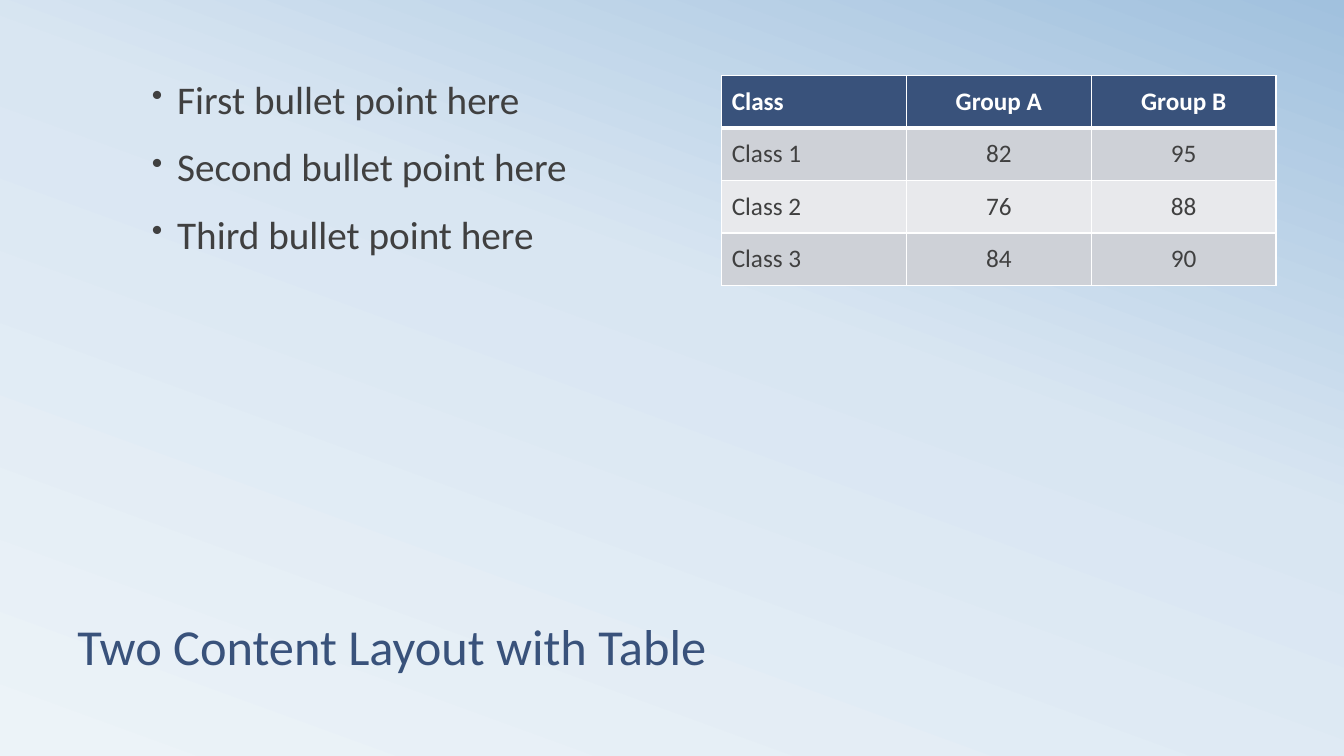
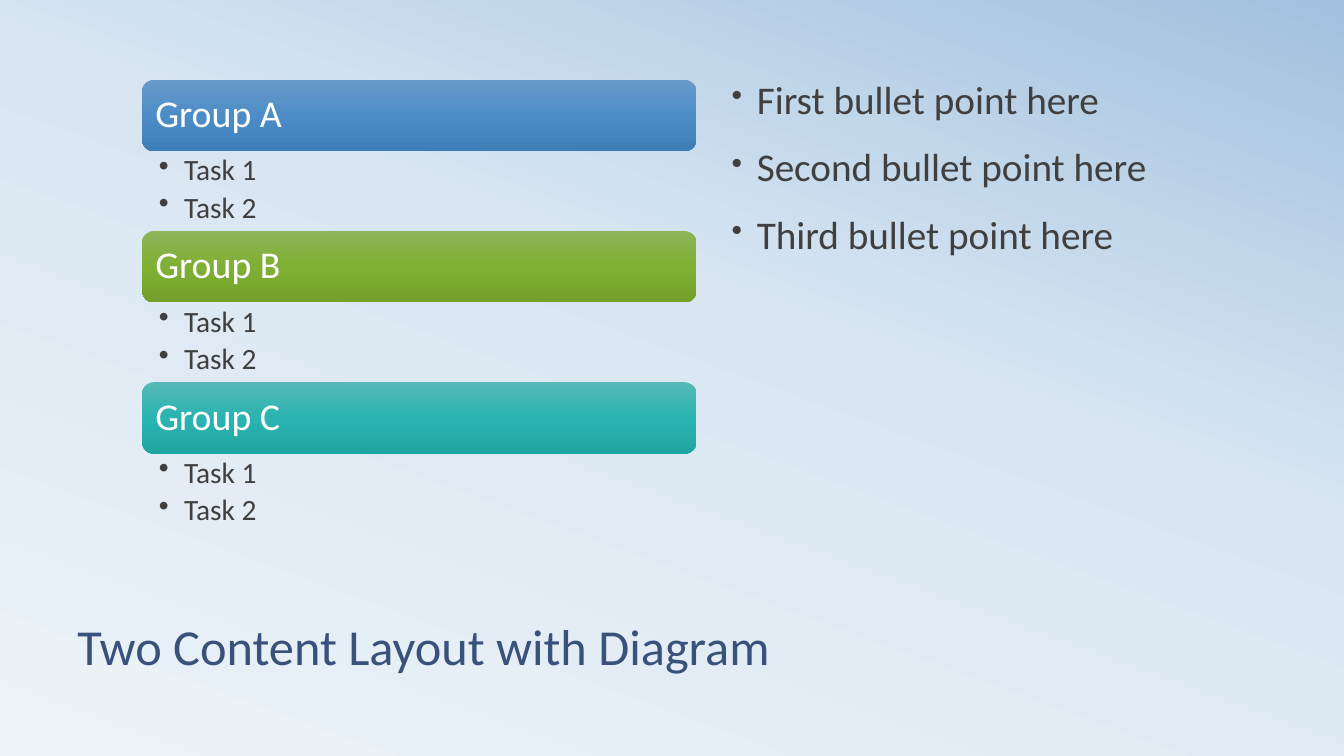
"""Build two slides pairing a bullet list with a table and with a task diagram."""
from dataclasses import dataclass

from lxml.etree import SubElement
from pptx import Presentation
from pptx.dml.color import RGBColor
from pptx.enum.shapes import MSO_SHAPE
from pptx.enum.text import MSO_ANCHOR, MSO_AUTO_SIZE, PP_ALIGN
from pptx.oxml.ns import qn
from pptx.util import Pt

FONT = "Calibri"
NAVY = RGBColor(0x39, 0x52, 0x7B)
INK = RGBColor(0x40, 0x40, 0x40)
WHITE = RGBColor(0xFF, 0xFF, 0xFF)
ROW_DARK = RGBColor(0xCE, 0xD1, 0xD7)
ROW_LIGHT = RGBColor(0xE8, 0xE9, 0xEC)
SKY = (
    (0, RGBColor(0xEC, 0xF3, 0xF8)),
    (58, RGBColor(0xD9, 0xE6, 0xF2)),
    (100, RGBColor(0xA1, 0xC1, 0xDE)),
)
BLUE = (
    (0, RGBColor(0x6A, 0x9A, 0xC9)),
    (50, RGBColor(0x4C, 0x8D, 0xC8)),
    (100, RGBColor(0x3E, 0x7E, 0xB8)),
)
GREEN = (
    (0, RGBColor(0x8D, 0xB4, 0x59)),
    (50, RGBColor(0x7F, 0xAF, 0x33)),
    (100, RGBColor(0x72, 0xA0, 0x29)),
)
TEAL = (
    (0, RGBColor(0x55, 0xB9, 0xB6)),
    (50, RGBColor(0x2A, 0xB4, 0xB1)),
    (100, RGBColor(0x1F, 0xA6, 0xA3)),
)

LEFT_COLUMN, RIGHT_COLUMN = 101.5, 515.5
CONTENT_TOP, CONTENT_WIDTH, CONTENT_HEIGHT = 54, 396, 330
ROW_HEIGHT = 37.5
GROUPS_TOP, HEADING_HEIGHT, TASKS_HEIGHT = 57, 51, 57

POINTS = ("First bullet point here", "Second bullet point here", "Third bullet point here")
SCORES = (
    ("Class", "Group A", "Group B"),
    ("Class 1", "82", "95"),
    ("Class 2", "76", "88"),
    ("Class 3", "84", "90"),
)


@dataclass(frozen=True)
class BulletStyle:
    """Look of one kind of bullet list."""

    size: float
    bullet_percent: int
    before: float
    after: float
    insets: tuple[float, float, float, float]


@dataclass(frozen=True)
class Group:
    """A coloured heading and the tasks below it."""

    heading: str
    gradient: tuple
    tasks: tuple[str, ...] = ("Task 1", "Task 2")


POINT_STYLE = BulletStyle(28, 80, 18, 0, (7.2, 3.6, 7.2, 3.6))
TASK_STYLE = BulletStyle(21, 100, 0, 4, (12, 3, 15, 3))
GROUPS = (Group("Group A", BLUE), Group("Group B", GREEN), Group("Group C", TEAL))


def paint_gradient(fill, element, stops, angle: float) -> None:
    """Fill with colour stops along a clockwise angle."""
    fill.gradient()
    fill.gradient_angle = 360 - angle
    stop_list = element.find(".//" + qn("a:gsLst"))
    stop_list.clear()
    for percent, color in stops:
        stop = SubElement(stop_list, qn("a:gs"), pos=str(percent * 1000))
        SubElement(stop, qn("a:srgbClr"), val=str(color))


def set_font(paragraph, size: float, color: RGBColor, bold: bool = False) -> None:
    """Set the font of a whole paragraph."""
    font = paragraph.font
    font.name, font.size, font.bold = FONT, Pt(size), bold
    font.color.rgb = color


def set_insets(frame, left: float, top: float, right: float, bottom: float) -> None:
    """Set the four inner margins of a text frame."""
    frame.margin_left, frame.margin_top = Pt(left), Pt(top)
    frame.margin_right, frame.margin_bottom = Pt(right), Pt(bottom)


def add_titled_slide(deck, title: str):
    """Add a slide with its title at the lower left."""
    slide = deck.slides.add_slide(deck.slide_layouts[5])
    heading = slide.shapes.title
    heading.left, heading.top = Pt(48), Pt(402)
    heading.width, heading.height = Pt(864), Pt(84)
    frame = heading.text_frame
    frame.text = title
    frame.word_wrap = True
    frame.auto_size = MSO_AUTO_SIZE.NONE
    frame.vertical_anchor = MSO_ANCHOR.BOTTOM
    paragraph = frame.paragraphs[0]
    paragraph.alignment = PP_ALIGN.LEFT
    paragraph.line_spacing = 0.8
    set_font(paragraph, 36, NAVY)
    return slide


def add_bullets(slide, left: float, top: float, height: float,
                items: tuple[str, ...], style: BulletStyle) -> None:
    """Add a bullet list one column wide."""
    box = slide.shapes.add_textbox(Pt(left), Pt(top), Pt(CONTENT_WIDTH), Pt(height))
    frame = box.text_frame
    frame.word_wrap = True
    set_insets(frame, *style.insets)
    frame.text = "\n".join(items)
    for index, paragraph in enumerate(frame.paragraphs):
        properties = paragraph._p.get_or_add_pPr()
        properties.set("marL", str(Pt(18)))
        properties.set("indent", str(Pt(-18)))
        SubElement(properties, qn("a:buSzPct"), val=str(style.bullet_percent * 1000))
        SubElement(properties, qn("a:buChar"), char="•")
        paragraph.line_spacing = 0.9
        paragraph.space_before = Pt(style.before if index else 0)
        paragraph.space_after = Pt(style.after)
        set_font(paragraph, style.size, INK)


def add_borders(cell, top: float, bottom: float) -> None:
    """Draw white borders round a table cell."""
    properties = cell._tc.get_or_add_tcPr()
    for side, width in (("L", 1), ("R", 1), ("T", top), ("B", bottom)):
        border = SubElement(properties, qn("a:ln" + side), w=str(Pt(width)))
        SubElement(SubElement(border, qn("a:solidFill")), qn("a:srgbClr"), val=str(WHITE))


def add_scores(slide) -> None:
    """Add the table of class scores."""
    row_count, column_count = len(SCORES), len(SCORES[0])
    table = slide.shapes.add_table(
        row_count, column_count, Pt(RIGHT_COLUMN), Pt(CONTENT_TOP),
        Pt(CONTENT_WIDTH), Pt(ROW_HEIGHT * row_count)).table
    for row, values in enumerate(SCORES):
        is_header = row == 0
        for column, value in enumerate(values):
            cell = table.cell(row, column)
            cell.text = value
            cell.vertical_anchor = MSO_ANCHOR.MIDDLE
            add_borders(cell, 3 if row == 1 else 1, 3 if is_header else 1)
            cell.fill.solid()
            cell.fill.fore_color.rgb = NAVY if is_header else (ROW_LIGHT, ROW_DARK)[row % 2]
            paragraph = cell.text_frame.paragraphs[0]
            paragraph.alignment = PP_ALIGN.CENTER if column else PP_ALIGN.LEFT
            set_font(paragraph, 18, WHITE if is_header else INK, is_header)


def add_group(slide, group: Group, top: float) -> None:
    """Add a heading bar with its tasks below."""
    bar = slide.shapes.add_shape(
        MSO_SHAPE.ROUNDED_RECTANGLE, Pt(LEFT_COLUMN), Pt(top),
        Pt(CONTENT_WIDTH), Pt(HEADING_HEIGHT))
    bar.shadow.inherit = False
    bar.line.fill.background()
    paint_gradient(bar.fill, bar._element, group.gradient, 90)
    frame = bar.text_frame
    frame.text = group.heading
    frame.word_wrap = True
    frame.vertical_anchor = MSO_ANCHOR.MIDDLE
    set_insets(frame, 7, 3, 7, 3)
    paragraph = frame.paragraphs[0]
    paragraph.alignment = PP_ALIGN.LEFT
    paragraph.line_spacing = 0.9
    set_font(paragraph, 27, WHITE)
    add_bullets(slide, LEFT_COLUMN, top + HEADING_HEIGHT, TASKS_HEIGHT, group.tasks, TASK_STYLE)


def main() -> None:
    """Build and save the presentation."""
    deck = Presentation()
    deck.slide_width, deck.slide_height = Pt(960), Pt(540)
    master = deck.slide_master
    paint_gradient(master.background.fill, master.element, SKY, 290)

    table_slide = add_titled_slide(deck, "Two Content Layout with Table")
    add_bullets(table_slide, LEFT_COLUMN, CONTENT_TOP, CONTENT_HEIGHT, POINTS, POINT_STYLE)
    add_scores(table_slide)

    diagram_slide = add_titled_slide(deck, "Two Content Layout with Diagram")
    for index, group in enumerate(GROUPS):
        add_group(diagram_slide, group, GROUPS_TOP + index * (HEADING_HEIGHT + TASKS_HEIGHT))
    add_bullets(diagram_slide, RIGHT_COLUMN, CONTENT_TOP, CONTENT_HEIGHT, POINTS, POINT_STYLE)

    deck.save("out.pptx")


if __name__ == "__main__":
    main()
